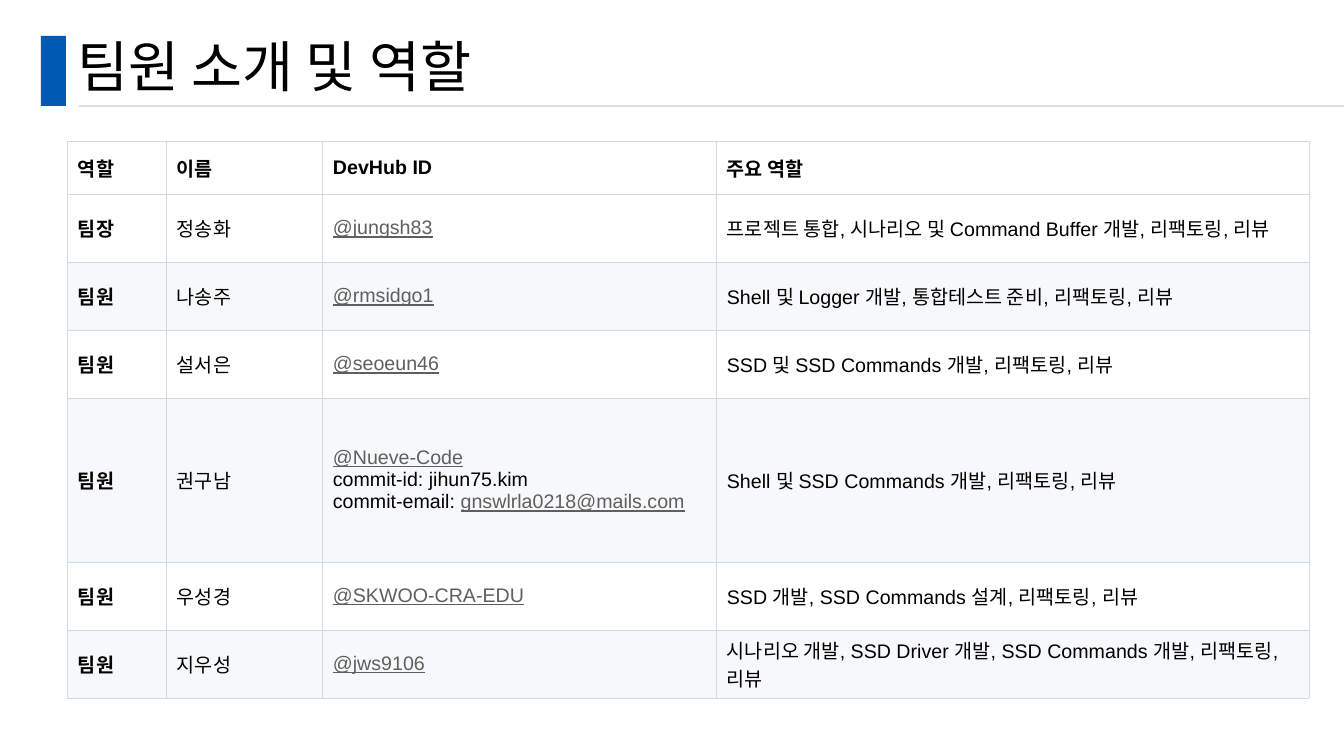
from dataclasses import dataclass

from lxml import etree
from pptx import Presentation
from pptx.dml.color import RGBColor
from pptx.enum.shapes import MSO_CONNECTOR, MSO_SHAPE
from pptx.enum.text import MSO_ANCHOR, MSO_AUTO_SIZE, PP_ALIGN
from pptx.oxml.ns import qn
from pptx.util import Emu, Pt

MIDDLE, LEFT = MSO_ANCHOR.MIDDLE, PP_ALIGN.LEFT
NO_FIT = MSO_AUTO_SIZE.NONE
RECTANGLE, STRAIGHT = MSO_SHAPE.RECTANGLE, MSO_CONNECTOR.STRAIGHT

# Content: each cell is a list of lines, a line is a list of spans;
# spans that hold an "@" are shown as links.
TITLE = "팀원 소개 및 역할"
HEADER = ("역할", "이름", "DevHub ID", "주요 역할")
MEMBERS = [
    ("팀장", "정송화", "@jungsh83",
     "프로젝트 통합, 시나리오 및 Command Buffer 개발, 리팩토링, 리뷰"),
    ("팀원", "나송주", "@rmsidgo1",
     "Shell 및 Logger 개발, 통합테스트 준비, 리팩토링, 리뷰"),
    ("팀원", "설서은", "@seoeun46",
     "SSD 및 SSD Commands 개발, 리팩토링, 리뷰"),
    ("팀원", "권구남",
     [["@Nueve-Code"],
      ["commit-id: jihun75.kim"],
      ["commit-email: ", "gnswlrla0218@mails.com"]],
     "Shell 및 SSD Commands 개발, 리팩토링, 리뷰"),
    ("팀원", "우성경", "@SKWOO-CRA-EDU",
     "SSD 개발, SSD Commands 설계, 리팩토링, 리뷰"),
    ("팀원", "지우성", "@jws9106",
     "시나리오 개발, SSD Driver 개발, SSD Commands 개발, 리팩토링, 리뷰"),
]

# Layout in px
PAGE_SIZE = (1344, 756)
ACCENT_BOX = (41, 36, 25, 70)
TITLE_BOX = (67, 34, 1159, 72)
RULE_START, RULE_Y = 79, 106
TABLE_LEFT, TABLE_TOP = 67, 141
COLUMN_WIDTHS = (99, 156, 394, 593)
HEADER_HEIGHT, MEMBER_HEIGHT, TALL_HEIGHT = 53, 68, 164
CELL_MARGIN_X, CELL_MARGIN_Y = 11, 5


@dataclass(frozen=True)
class Theme:
    accent: str = "005AB4"
    rule: str = "DDDDDD"
    border: str = "D1D9E0"
    text: str = "000000"
    link: str = "5F5F5F"
    plain: str = "FFFFFF"
    band: str = "F6F8FA"
    title_font: str = "Noto Sans CJK KR"
    body_font: str = "Arial"
    title_size: float = 39.6
    body_size: float = 14
    rule_width: float = 1.5
    border_width: float = 0.48


THEME = Theme()


def px(length):
    return Emu(round(length * 914400 / 100.8))


def color(value):
    return RGBColor.from_string(value)


def add_span(para, text, font_name, size, tint, bold=False, underline=False):
    span = para.add_run()
    span.text = text
    font = span.font
    font.name, font.size = font_name, Pt(size)
    font.bold, font.underline = bold, underline
    font.color.rgb = color(tint)
    east_asian = etree.Element(qn("a:ea"), typeface=THEME.title_font)
    span.font._element.find(qn("a:latin")).addnext(east_asian)


def add_borders(cell):
    properties = cell._tc.get_or_add_tcPr()
    for index, side in enumerate(("lnL", "lnR", "lnT", "lnB")):
        line = etree.Element(qn(f"a:{side}"), w=str(Pt(THEME.border_width)))
        fill = etree.SubElement(line, qn("a:solidFill"))
        etree.SubElement(fill, qn("a:srgbClr"), val=THEME.border)
        properties.insert(index, line)


def fill_cell(cell, content, background, bold):
    cell.fill.solid()
    cell.fill.fore_color.rgb = color(background)
    add_borders(cell)
    cell.vertical_anchor = MIDDLE
    cell.margin_left = cell.margin_right = px(CELL_MARGIN_X)
    cell.margin_top = cell.margin_bottom = px(CELL_MARGIN_Y)
    lines = [[content]] if isinstance(content, str) else content
    para = cell.text_frame.paragraphs[0]
    for index, line in enumerate(lines):
        if index:
            para.add_line_break()
        for text in line:
            is_link = "@" in text
            add_span(para, text, THEME.body_font, THEME.body_size,
                     THEME.link if is_link else THEME.text, bold, is_link)


def add_heading(page):
    # Accent bar
    bar = page.shapes.add_shape(RECTANGLE, *map(px, ACCENT_BOX))
    bar.shadow.inherit = False
    bar.fill.solid()
    bar.fill.fore_color.rgb = color(THEME.accent)
    bar.line.fill.background()

    # Rule under the title
    rule = page.shapes.add_connector(
        STRAIGHT, px(RULE_START), px(RULE_Y), px(PAGE_SIZE[0]), px(RULE_Y))
    rule.line.color.rgb = color(THEME.rule)
    rule.line.width = Pt(THEME.rule_width)
    etree.SubElement(rule._element.spPr, qn("a:effectLst"))

    # Title
    title = page.shapes.title
    title.left, title.top, title.width, title.height = map(px, TITLE_BOX)
    frame = title.text_frame
    frame.auto_size, frame.word_wrap = NO_FIT, True
    frame.vertical_anchor = MIDDLE
    para = frame.paragraphs[0]
    para.alignment, para.line_spacing = LEFT, 0.9
    add_span(para, TITLE, THEME.title_font, THEME.title_size, THEME.text)


def add_team_table(page):
    rows = [HEADER, *MEMBERS]
    heights = [HEADER_HEIGHT] + [
        MEMBER_HEIGHT if isinstance(member[2], str) else TALL_HEIGHT
        for member in MEMBERS]
    table = page.shapes.add_table(
        len(rows), len(HEADER), px(TABLE_LEFT), px(TABLE_TOP),
        px(sum(COLUMN_WIDTHS)), px(sum(heights))).table
    table.first_row = table.horz_banding = False
    for column, width in zip(table.columns, COLUMN_WIDTHS):
        column.width = px(width)
    for r, (row, height) in enumerate(zip(rows, heights)):
        table.rows[r].height = px(height)
        background = THEME.band if r and r % 2 == 0 else THEME.plain
        for c, content in enumerate(row):
            fill_cell(table.cell(r, c), content, background,
                      bold=r == 0 or c == 0)


def main():
    deck = Presentation()
    deck.slide_width, deck.slide_height = map(px, PAGE_SIZE)
    page = deck.slides.add_slide(deck.slide_layouts.get_by_name("Title Only"))
    add_heading(page)
    add_team_table(page)
    deck.save("out.pptx")


if __name__ == "__main__":
    main()
